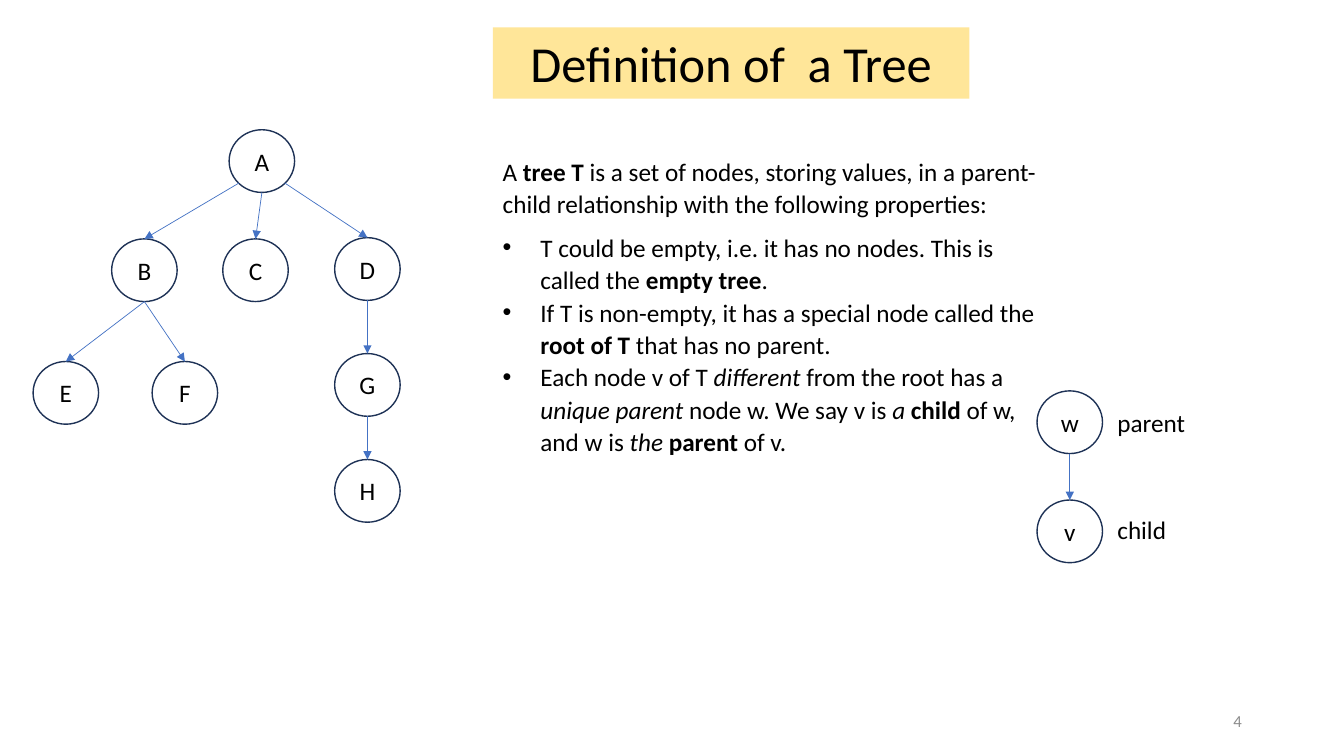
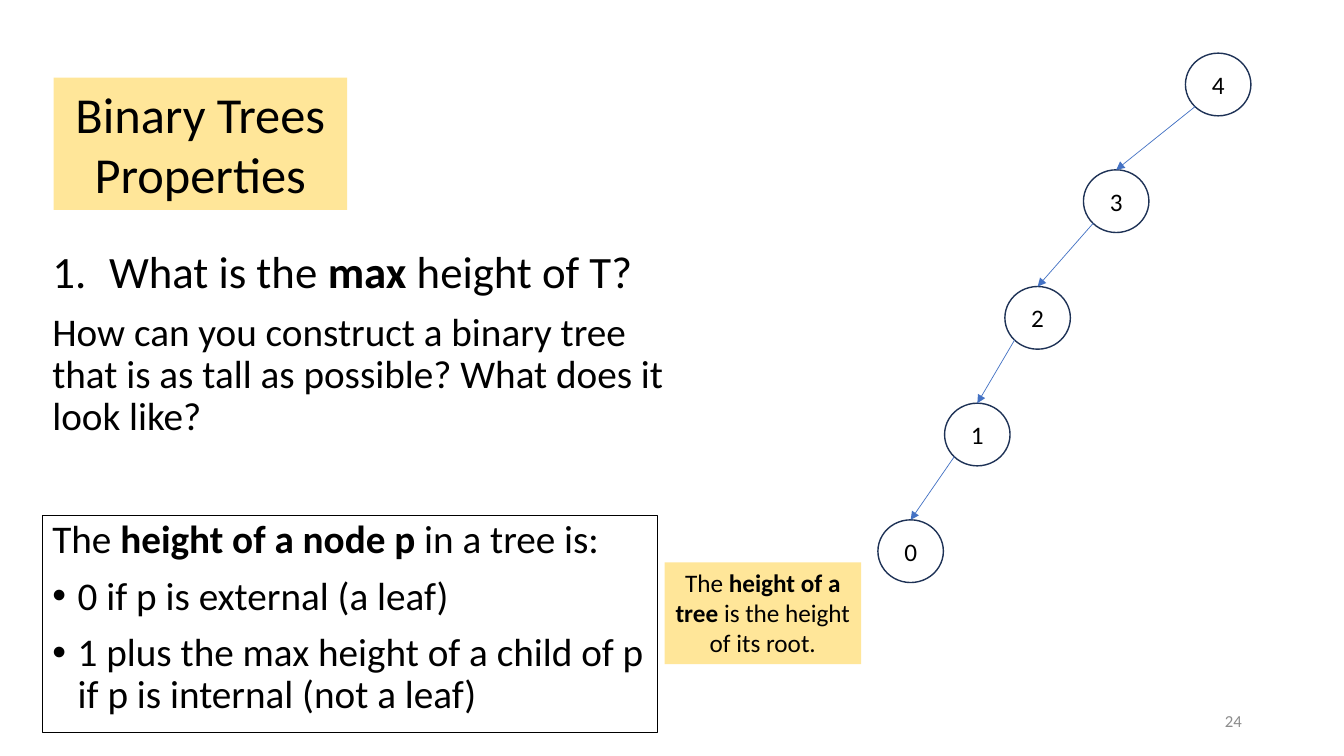
from dataclasses import dataclass

from lxml.etree import SubElement as Sub
from pptx import Presentation
from pptx.dml.color import RGBColor as Rgb
from pptx.enum.shapes import MSO_CONNECTOR as Conn, MSO_SHAPE as Form
from pptx.enum.text import MSO_ANCHOR as Anchor, PP_ALIGN as Align
from pptx.oxml.ns import qn
from pptx.util import Cm, Pt


@dataclass(frozen=True)
class Theme:
    font: str = "Calibri"
    ink: str = "000000"
    band: str = "FFE699"
    ring: str = "1E3256"
    edge: str = "4472C4"
    grey: str = "8C8C8C"
    title: int = 36
    head: int = 32
    large: int = 28
    body: int = 18
    foot: int = 12
    node: tuple = (1.65, 1.58)


T = Theme()


def rgb(code):
    return Rgb.from_string(code)


def put_runs(para, words, size, color):
    """Add runs: *bold*, _italic_, newline as a line break."""
    for i, bit in enumerate(words.split("*")):
        for j, part in enumerate(bit.split("_")):
            for k, row in enumerate(part.split("\n")):
                if k:
                    para.add_line_break()
                if not row:
                    continue
                run = para.add_run()
                run.text = row
                font = run.font
                font.name, font.size = T.font, Pt(size)
                font.bold, font.italic = i % 2 == 1, j % 2 == 1
                font.color.rgb = rgb(color)


def set_mark(para, mark, indent):
    """Give a paragraph a hanging bullet, or a number if mark is '1.'."""
    props = para._p.get_or_add_pPr()
    props.set("marL", str(Cm(indent)))
    props.set("indent", str(-Cm(indent)))
    if mark == "1.":
        Sub(props, qn("a:buAutoNum"), type="arabicPeriod")
    else:
        Sub(props, qn("a:buFont"), typeface="Arial")
        Sub(props, qn("a:buChar"), char=mark)


def text(slide, box, paras, form=None, fill=None, line=None, width=0.75,
         anchor=Anchor.TOP, wrap=True, pad=None, **base):
    """Write paragraphs, each a string or (string, format), in a box."""
    area = [Cm(v) for v in box]
    if form is None:
        shape = slide.shapes.add_textbox(*area)
    else:
        shape = slide.shapes.add_shape(form, *area)
        shape.shadow.inherit = False
        if fill:
            shape.fill.solid()
            shape.fill.fore_color.rgb = rgb(fill)
        else:
            shape.fill.background()
        if line:
            shape.line.color.rgb = rgb(line)
            shape.line.width = Pt(width)
        else:
            shape.line.fill.background()
    frame = shape.text_frame
    frame.word_wrap, frame.vertical_anchor = wrap, anchor
    if pad is not None:
        frame.margin_left = frame.margin_right = Cm(pad)
        frame.margin_top = frame.margin_bottom = Cm(pad)
    for i, item in enumerate(paras):
        words, own = (item, {}) if isinstance(item, str) else item
        fmt = {"size": T.body, "color": T.ink, "align": Align.LEFT,
               "lead": 1.0, "before": 0, "after": 0, "mark": None,
               "indent": 0} | base | own
        para = frame.add_paragraph() if i else frame.paragraphs[0]
        para.alignment, para.line_spacing = fmt["align"], fmt["lead"]
        para.space_before = Pt(fmt["before"])
        para.space_after = Pt(fmt["after"])
        if fmt["mark"]:
            set_mark(para, fmt["mark"], fmt["indent"])
        put_runs(para, words, fmt["size"], fmt["color"])


def band(slide, box, words, size):
    """Yellow band with centred text, for titles and notes."""
    text(slide, box, [words], form=Form.RECTANGLE, fill=T.band, size=size,
         align=Align.CENTER)


def page(slide, num):
    text(slide, (23.93, 17.65, 7.62, 1.01), [str(num)], size=T.foot,
         color=T.grey, align=Align.RIGHT, anchor=Anchor.MIDDLE)


def arrow(slide, start, end):
    pts = [Cm(v) for v in (*start, *end)]
    link = slide.shapes.add_connector(Conn.STRAIGHT, *pts)
    link.line.color.rgb, link.line.width = rgb(T.edge), Pt(0.5)
    Sub(link.line._get_or_add_ln(), qn("a:tailEnd"), type="triangle")
    Sub(link._element.spPr, qn("a:effectLst"))


def tree(slide, left, top, nodes, edges):
    """Draw nodes {name: centre}, relative to left and top, and edges.

    An edge is (parent, child, side): -1 leaves at the lower left of the
    parent, 0 at its bottom, 1 at its lower right.
    """
    wide, high = T.node
    spots = {n: (left + x, top + y) for n, (x, y) in nodes.items()}
    for name, (x, y) in spots.items():
        text(slide, (x - wide / 2, y - high / 2, wide, high), [name],
             form=Form.OVAL, line=T.ring, width=1, pad=0, wrap=False,
             anchor=Anchor.MIDDLE, align=Align.CENTER)
    for up, down, side in edges:
        (x, y), (to_x, to_y) = spots[up], spots[down]
        drop = 0.35 if side else 0.5
        arrow(slide, (x + side * 0.35 * wide, y + drop * high),
              (to_x, to_y - high / 2))


def pair(slide, left, top):
    """Parent and child nodes with their labels."""
    step = 2.75
    tree(slide, left, top, {"w": (0, 0), "v": (0, step)}, [("w", "v", 0)])
    for i, word in enumerate(("parent", "child")):
        text(slide, (left + 0.95, top - 0.51 + i * 2.7, 3.2, 1.01), [word])


def chain(slide, left, top):
    """Tallest binary tree: every node has one left child."""
    names = "43210"
    across = (7.75, 5.18, 3.2, 1.68, 0)
    nodes = {n: (x, 2.94 * i) for i, (n, x) in enumerate(zip(names, across))}
    tree(slide, left, top, nodes,
         [(a, b, -1) for a, b in zip(names, names[1:])])


def define(slide):
    # Example tree
    tree(slide, 1.66, 4.06,
         {"A": (4.94, 0), "B": (1.98, 2.75), "C": (4.78, 2.75),
          "D": (7.6, 2.72), "G": (7.6, 5.64), "E": (0, 5.84),
          "F": (3, 5.84), "H": (7.6, 8.31)},
         [("A", "B", -1), ("A", "C", 0), ("A", "D", 1), ("B", "E", 0),
          ("B", "F", 0), ("D", "G", 0), ("G", "H", 0)])
    # Title and definition
    band(slide, (12.42, 0.69, 12.01, 1.8), "Definition of  a Tree", T.title)
    dot = {"mark": "•", "indent": 0.95}
    text(slide, (12.42, 3.76, 14.3, 7.92), [
        ("A *tree T* is a set of nodes, storing values, in a parent-child "
         "relationship with the following properties:", {"after": 8}),
        ("T could be empty, i.e. it has no nodes. This is called the "
         "*empty tree*.", dot),
        ("If T is non-empty, it has a special node called the *root of T* "
         "that has no parent.", dot),
        ("Each node v of T _different_ from the root has a _unique parent_ "
         "node w. We say v is _a _*child* of w, and w is _the _*parent* "
         "of v.", dot | {"after": 8}),
    ], lead=1.07)
    # Parent and child
    pair(slide, 26.96, 10.64)
    page(slide, 4)


def height(slide):
    # Question
    text(slide, (1.07, 6.17, 16.74, 5.77), [
        ("What is the *max* height of T?",
         {"size": T.head, "mark": "1.", "indent": 1.43}),
        "How can you construct a binary tree that is as tall as possible? "
        "What does it look like?",
    ], size=T.large, lead=0.9, before=10)
    band(slide, (1.35, 1.96, 7.4, 3.33), "Binary Trees Properties", T.title)
    # Definition of height
    dot = {"mark": "•", "indent": 0.64}
    text(slide, (1.07, 12.98, 15.5, 5.49), [
        "The *height of a node p *in a tree is:",
        ("0 if p is external (a leaf)", dot),
        ("1 plus the max height of a child of p\n"
         "if p is internal (not a leaf)", dot),
    ], form=Form.RECTANGLE, line=T.ink, size=T.large, lead=0.9, before=10)
    band(slide, (16.75, 14.17, 4.95, 2.57),
         "The *height of a tree *is the height of its root.", T.body)
    # Tall tree
    chain(slide, 22.95, 2.13)
    page(slide, 24)


def main():
    deck = Presentation()
    deck.slide_width, deck.slide_height = Cm(33.87), Cm(19.05)
    for build in (define, height):
        build(deck.slides.add_slide(deck.slide_layouts[6]))
    deck.save("out.pptx")


if __name__ == "__main__":
    main()
